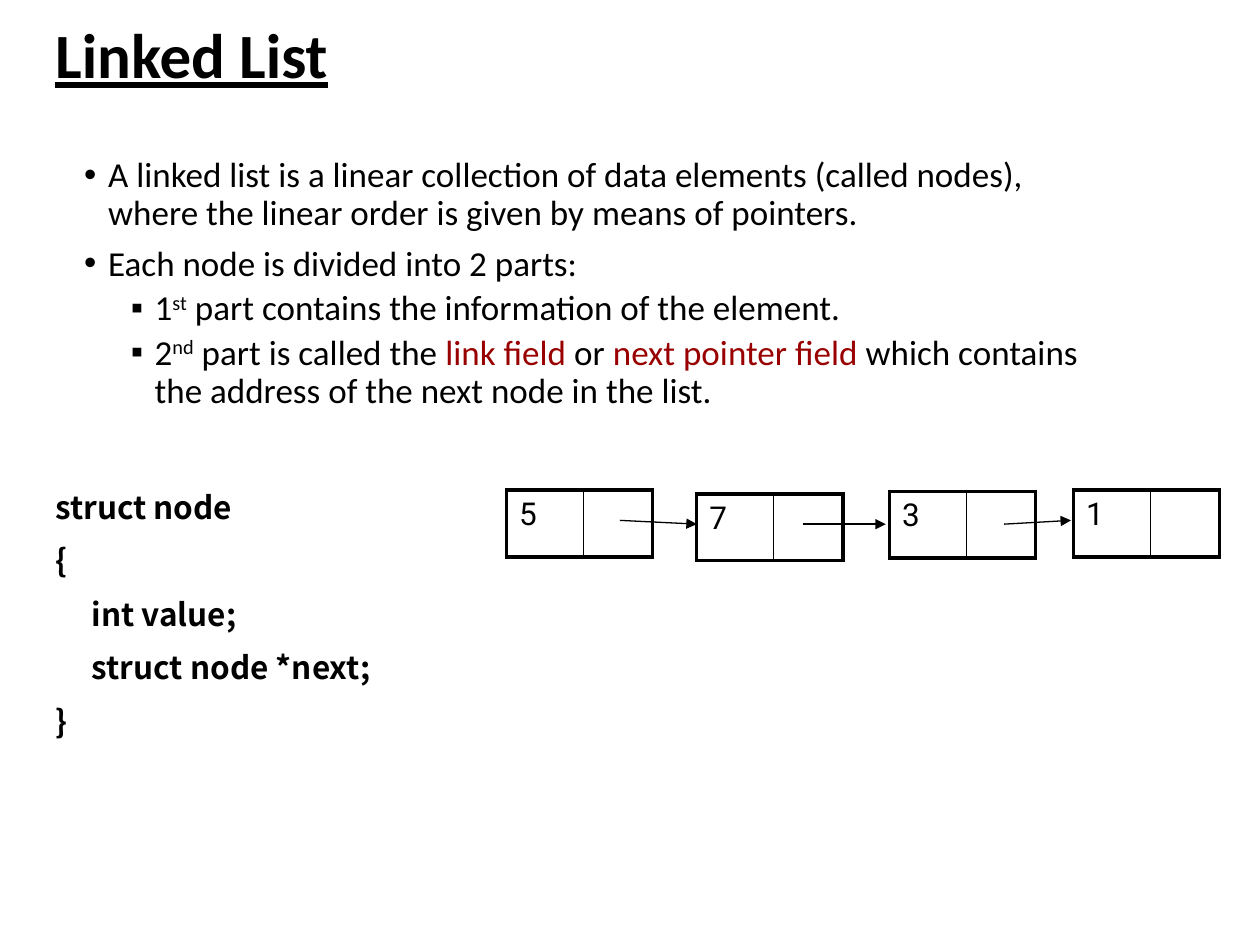
from lxml import etree
from pptx import Presentation
from pptx.dml.color import RGBColor
from pptx.enum import shapes, text
from pptx.oxml import parse_xml
from pptx.oxml.ns import nsdecls, qn
from pptx.util import Inches, Pt

BLACK = RGBColor(0, 0, 0)
DARK_RED = RGBColor(0x99, 0, 0)
BODY_FONT = "Calibri"
CODE_FONT = "Noto Sans CJK KR"
NODE_FONT = "Roboto"

# Each paragraph: level, then runs of (text, colour, is superscript)
BULLETS = [
    (0, [("A linked list is a linear collection of data elements (called nodes), "
          "where the linear order is given by means of pointers.", BLACK, False)]),
    (0, [("Each node is divided into 2 parts:", BLACK, False)]),
    (1, [("1", BLACK, False), ("st", BLACK, True),
         (" part contains the information of the element.", BLACK, False)]),
    (1, [("2", BLACK, False), ("nd", BLACK, True),
         (" part is called the ", BLACK, False),
         ("link field", DARK_RED, False), (" or ", BLACK, False),
         ("next pointer field ", DARK_RED, False),
         ("which contains the address of the next node in the list.", BLACK, False)]),
]
# Bullet character, left margin in inches, space before in points
LEVELS = [("•", 0.19, 7.5), ("▪", 0.56, 3.8)]
HANGING = 0.19

# Code lines: text, left margin in inches
CODE = [("struct node", 0), ("{", 0), ("int value;", 0.29),
        ("struct node *next;", 0.29), ("}", 0)]

# Nodes: value, left, top
NODES = [("5", 4.02, 3.89), ("7", 5.53, 3.92), ("3", 7.06, 3.9), ("1", 8.52, 3.89)]
CELL_WIDTHS = (0.61, 0.55)
NODE_HEIGHT = 0.53
OUTER, INNER = 2.25, 1

# Links: start x, start y, end x, end y
LINKS = [(7.97, 4.16, 8.5, 4.13), (6.37, 4.16, 7.03, 4.16), (4.92, 4.13, 5.53, 4.16)]


def add_text_box(slide, left, top, width, height):
    box = slide.shapes.add_textbox(Inches(left), Inches(top), Inches(width), Inches(height))
    box.text_frame.word_wrap = True
    return box.text_frame


def next_paragraph(frame, index):
    return frame.paragraphs[0] if index == 0 else frame.add_paragraph()


def add_run(paragraph, content, font, size, color=BLACK, bold=False):
    run = paragraph.add_run()
    run.text = content
    run.font.name = font
    run.font.size = Pt(size)
    run.font.bold = bold
    run.font.color.rgb = color
    return run


def set_indent(paragraph, left, first=0):
    properties = paragraph._p.get_or_add_pPr()
    properties.set("marL", str(Inches(left)))
    properties.set("indent", str(Inches(first)))
    return properties


def set_relative_space_before(paragraph, percent):
    """Space before as a percentage of the line."""
    paragraph.space_before = Pt(0)
    space = paragraph._p.pPr.find(qn("a:spcBef"))
    space.remove(space[0])
    etree.SubElement(space, qn("a:spcPct"), val=str(percent * 1000))


def add_title(slide):
    frame = add_text_box(slide, 0.34, 0, 9.44, 0.92)
    frame.vertical_anchor = text.MSO_ANCHOR.MIDDLE
    paragraph = frame.paragraphs[0]
    paragraph.line_spacing = 0.9
    add_run(paragraph, "Linked List", BODY_FONT, 36, bold=True).font.underline = True


def add_bullets(slide):
    frame = add_text_box(slide, 0.57, 1.2, 8.34, 2.11)
    for index, (level, runs) in enumerate(BULLETS):
        character, margin, space = LEVELS[level]
        paragraph = next_paragraph(frame, index)
        paragraph.level = level
        paragraph.line_spacing = 0.9
        paragraph.space_before = Pt(space)
        properties = set_indent(paragraph, margin, -HANGING)
        etree.SubElement(properties, qn("a:buFont"), typeface="Arial")
        etree.SubElement(properties, qn("a:buChar"), char=character)
        for content, color, superscript in runs:
            run = add_run(paragraph, content, BODY_FONT, 20, color)
            if superscript:
                run.font._element.set("baseline", "30000")


def add_code(slide):
    frame = add_text_box(slide, 0.34, 3.82, 2.84, 2.22)
    frame.auto_size = text.MSO_AUTO_SIZE.SHAPE_TO_FIT_TEXT
    for index, (line, margin) in enumerate(CODE):
        paragraph = next_paragraph(frame, index)
        set_indent(paragraph, margin)
        set_relative_space_before(paragraph, 50)
        add_run(paragraph, line, CODE_FONT, 18, bold=True)


def set_borders(cell, left, right):
    cell.fill.background()
    properties = cell._tc.get_or_add_tcPr()
    sides = (("L", left), ("R", right), ("T", OUTER), ("B", OUTER))
    for position, (side, width) in enumerate(sides):
        properties.insert(position, parse_xml(
            f'<a:ln{side} {nsdecls("a")} w="{Pt(width)}"><a:solidFill>'
            f'<a:srgbClr val="{BLACK}"/></a:solidFill></a:ln{side}>'))


def add_node(slide, value, left, top):
    frame = slide.shapes.add_table(1, 2, Inches(left), Inches(top),
                                   Inches(sum(CELL_WIDTHS)), Inches(NODE_HEIGHT))
    table = frame.table
    table.first_row = table.horz_banding = False
    for column, width in zip(table.columns, CELL_WIDTHS):
        column.width = Inches(width)
    value_cell, link_cell = table.rows[0].cells
    set_borders(value_cell, OUTER, INNER)
    set_borders(link_cell, INNER, OUTER)
    paragraph = value_cell.text_frame.paragraphs[0]
    set_relative_space_before(paragraph, 20)
    add_run(paragraph, value, NODE_FONT, 18)


def add_link(slide, *ends):
    link = slide.shapes.add_connector(shapes.MSO_CONNECTOR.STRAIGHT, *map(Inches, ends))
    link.line.color.rgb = BLACK
    link.line.width = Pt(0.75)
    etree.SubElement(link.line._get_or_add_ln(), qn("a:tailEnd"), type="triangle")
    etree.SubElement(link._element.spPr, qn("a:effectLst"))


def main():
    presentation = Presentation()
    presentation.slide_width = Inches(10)
    presentation.slide_height = Inches(7.5)
    slide = presentation.slides.add_slide(presentation.slide_layouts[6])
    add_title(slide)
    add_bullets(slide)
    add_code(slide)
    for node in NODES:
        add_node(slide, *node)
    for link in LINKS:
        add_link(slide, *link)
    presentation.save("out.pptx")


if __name__ == "__main__":
    main()
